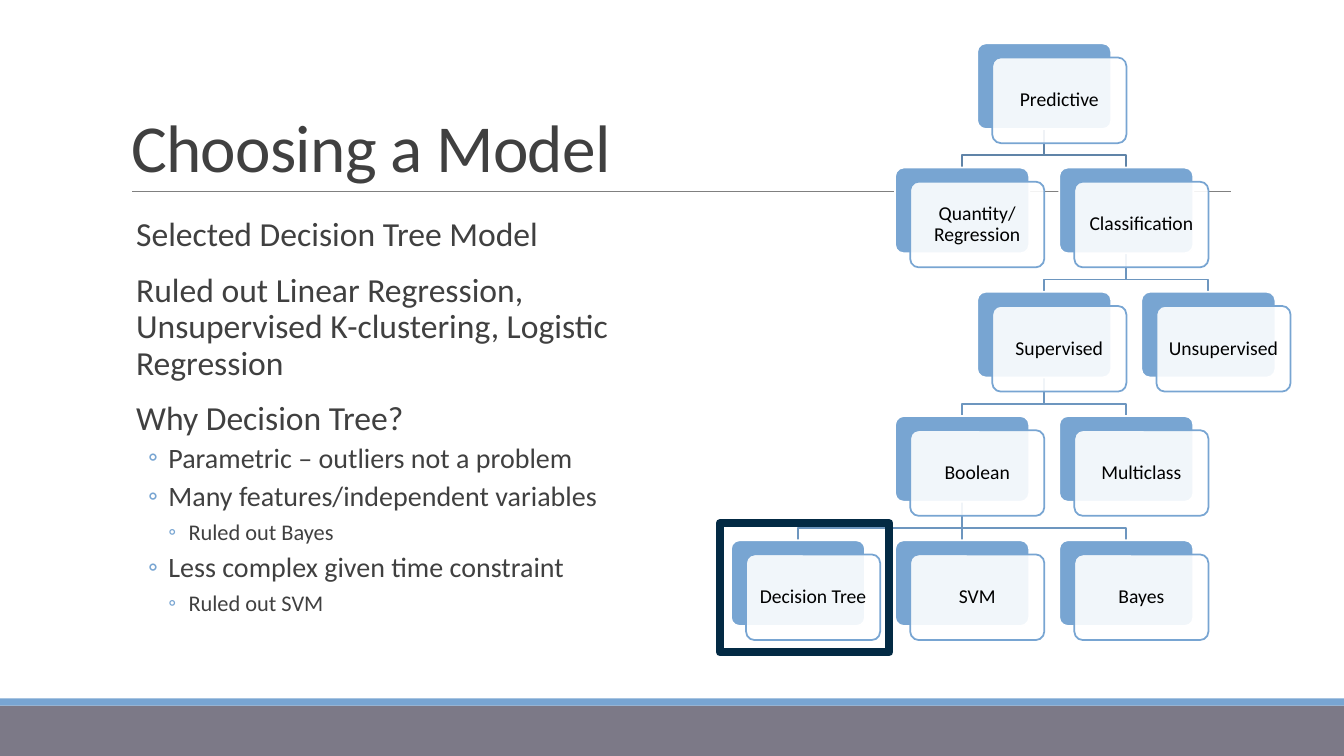
from dataclasses import dataclass

from lxml.etree import SubElement
from pptx import Presentation
from pptx.dml.color import RGBColor
from pptx.enum.shapes import MSO_CONNECTOR as Connector, MSO_SHAPE as Preset
from pptx.enum.text import MSO_ANCHOR as Anchor, MSO_AUTO_SIZE as AutoSize, PP_ALIGN as Align
from pptx.oxml.ns import qn
from pptx.util import Inches, Pt


@dataclass(frozen=True)
class Theme:
    font: str = "Calibri"
    blue: str = "78A5D2"
    footer: str = "7C7987"
    rule: str = "808080"
    text: str = "404040"
    black: str = "000000"
    white: str = "FFFFFF"
    root_edge: str = "6084A8"
    edge: str = "6D96BF"
    highlight: str = "032A44"
    title_size: int = 48
    body_sizes: tuple = (24, 20, 16)
    node_size: int = 14


THEME = Theme()

POINTS = [
    (0, "Selected Decision Tree Model"),
    (0, "Ruled out Linear Regression, Unsupervised K-clustering, Logistic Regression"),
    (0, "Why Decision Tree?"),
    (1, "Parametric – outliers not a problem"),
    (1, "Many features/independent variables"),
    (2, "Ruled out Bayes"),
    (1, "Less complex given time constraint"),
    (2, "Ruled out SVM"),
]

# Name: (half-column, row, parent)
NODES = {
    "Predictive": (3, 0, None),
    "Quantity/ Regression": (2, 1, "Predictive"),
    "Classification": (4, 1, "Predictive"),
    "Supervised": (3, 2, "Classification"),
    "Unsupervised": (5, 2, "Classification"),
    "Boolean": (2, 3, "Supervised"),
    "Multiclass": (4, 3, "Supervised"),
    "Decision Tree": (0, 4, "Boolean"),
    "SVM": (2, 4, "Boolean"),
    "Bayes": (4, 4, "Boolean"),
}


def assign(target, **values):
    for name, value in values.items():
        setattr(target, name, value)


def inches(*lengths):
    return [Inches(length) for length in lengths]


def set_line(shape, color, width):
    shape.line.color.rgb = RGBColor.from_string(color)
    shape.line.width = Pt(width)


def add_block(page, box, preset=Preset.RECTANGLE, fill=None, line=None):
    shape = page.shapes.add_shape(preset, *inches(*box))
    shape.shadow.inherit = False
    if fill:
        shape.fill.solid()
        shape.fill.fore_color.rgb = RGBColor.from_string(fill)
    else:
        shape.fill.background()
    if line:
        set_line(shape, *line)
    else:
        shape.line.fill.background()
    return shape


def add_straight(page, start, end, color, width):
    line = page.shapes.add_connector(Connector.STRAIGHT, *inches(*start, *end))
    set_line(line, color, width)
    SubElement(line._element.spPr, qn("a:effectLst"))


def set_frame(frame, insets, anchor):
    left, top, right, bottom = inches(*insets)
    assign(frame, word_wrap=True, auto_size=AutoSize.NONE, vertical_anchor=anchor,
           margin_left=left, margin_top=top, margin_right=right, margin_bottom=bottom)


def write(para, text, size, color, **layout):
    assign(para, **layout)
    span = para.add_run()
    span.text = text
    assign(span.font, name=THEME.font, size=Pt(size))
    span.font.color.rgb = RGBColor.from_string(color)
    return span


def draw_background(page, box):
    left, top, width, height = box
    bottom = top + height
    add_block(page, (left, bottom - 0.5, width, 0.5), fill=THEME.footer)
    add_block(page, (left, bottom - 0.57, width, 0.07), fill=THEME.blue)
    add_straight(page, (left + 1.31, top + 1.9), (left + 12.21, top + 1.9), THEME.rule, 0.5)


def draw_title(page, box, text):
    title = page.shapes.title
    assign(title, **dict(zip(("left", "top", "width", "height"), inches(*box))))
    set_frame(title.text_frame, (0.1, 0.05, 0.1, 0.05), Anchor.BOTTOM)
    span = write(title.text_frame.paragraphs[0], text, THEME.title_size, THEME.text,
                 alignment=Align.LEFT, line_spacing=0.85)
    span._r.get_or_add_rPr().set("spc", "-50")


def set_bullet(para, margin, hanging):
    props = para._p.get_or_add_pPr()
    props.set("marL", str(Inches(margin)))
    props.set("indent", str(-Inches(hanging)))
    if hanging:
        color = SubElement(props, qn("a:buClr"))
        SubElement(color, qn("a:srgbClr"), val=THEME.blue)
        SubElement(props, qn("a:buFont"), typeface=THEME.font)
        SubElement(props, qn("a:buChar"), char="◦")


def draw_points(page, box, points):
    frame = page.shapes.add_textbox(*inches(*box)).text_frame
    set_frame(frame, (0, 0.05, 0, 0.05), Anchor.TOP)
    for index, (level, text) in enumerate(points):
        para = frame.add_paragraph() if index else frame.paragraphs[0]
        before, after = (2, 4) if level else (12, 2)
        write(para, text, THEME.body_sizes[level], THEME.text, level=level,
              line_spacing=0.9, space_before=Pt(before), space_after=Pt(after))
        set_bullet(para, (0.1, 0.42, 0.62)[level], 0.2 if level else 0)


def draw_edge(page, start, end, color):
    if start[0] == end[0]:
        add_straight(page, start, end, color, 1.25)
        return
    bend = start[1] + 0.26
    corners = [(start[0], bend), (end[0], bend), end]
    outline = page.shapes.build_freeform(*inches(*start))
    outline.add_line_segments([inches(*corner) for corner in corners], close=False)
    edge = outline.convert_to_shape()
    edge.shadow.inherit = False
    edge.fill.background()
    set_line(edge, color, 1.25)


def draw_node(page, box, text):
    left, top, width, height = box
    back = add_block(page, box, Preset.ROUNDED_RECTANGLE, THEME.blue, (THEME.white, 1.25))
    front = add_block(page, (left + 0.15, top + 0.14, width, height),
                      Preset.ROUNDED_RECTANGLE, THEME.white, (THEME.blue, 1.25))
    for card in (back, front):
        card.adjustments[0] = 0.1
    color = front._element.spPr.find(qn("a:solidFill")).find(qn("a:srgbClr"))
    SubElement(color, qn("a:alpha"), val="90000")
    set_frame(front.text_frame, (0.06, 0.06, 0.06, 0.06), Anchor.MIDDLE)
    write(front.text_frame.paragraphs[0], text, THEME.node_size, THEME.black,
          alignment=Align.CENTER, line_spacing=0.9)


def draw_tree(page, box, nodes, chosen):
    left, top, width, height = box
    node_width, node_height = 1.33, 0.85
    column_step = (width - node_width - 0.15) / 5
    row_step = (height - node_height - 0.14) / 4
    corners = {name: (left + column * column_step, top + row * row_step)
               for name, (column, row, _) in nodes.items()}

    # Edges lie behind the cards, the root's on top of the others
    for name, (_, row, parent) in reversed(nodes.items()):
        if parent:
            (start_x, start_y), (end_x, end_y) = corners[parent], corners[name]
            draw_edge(page, (start_x + node_width / 2, start_y + node_height),
                      (end_x + node_width / 2, end_y),
                      THEME.root_edge if row == 1 else THEME.edge)
    for name, corner in corners.items():
        draw_node(page, (*corner, node_width, node_height), name)

    # Frame around the chosen model
    x, y = corners[chosen]
    add_block(page, (x - 0.11, y - 0.17, 1.68, 1.28), line=(THEME.highlight, 6))


deck = Presentation()
assign(deck, slide_width=Inches(13.33), slide_height=Inches(7.5))
page = deck.slides.add_slide(deck.slide_layouts[5])
draw_background(page, (0, 0, 13.33, 7.5))
draw_title(page, (1.2, 0.31, 11, 1.59), "Choosing a Model")
draw_points(page, (1.25, 2.11, 5.62, 4.8), POINTS)
draw_tree(page, (7.25, 0.43, 5.55, 5.92), NODES, "Decision Tree")
deck.save("out.pptx")
